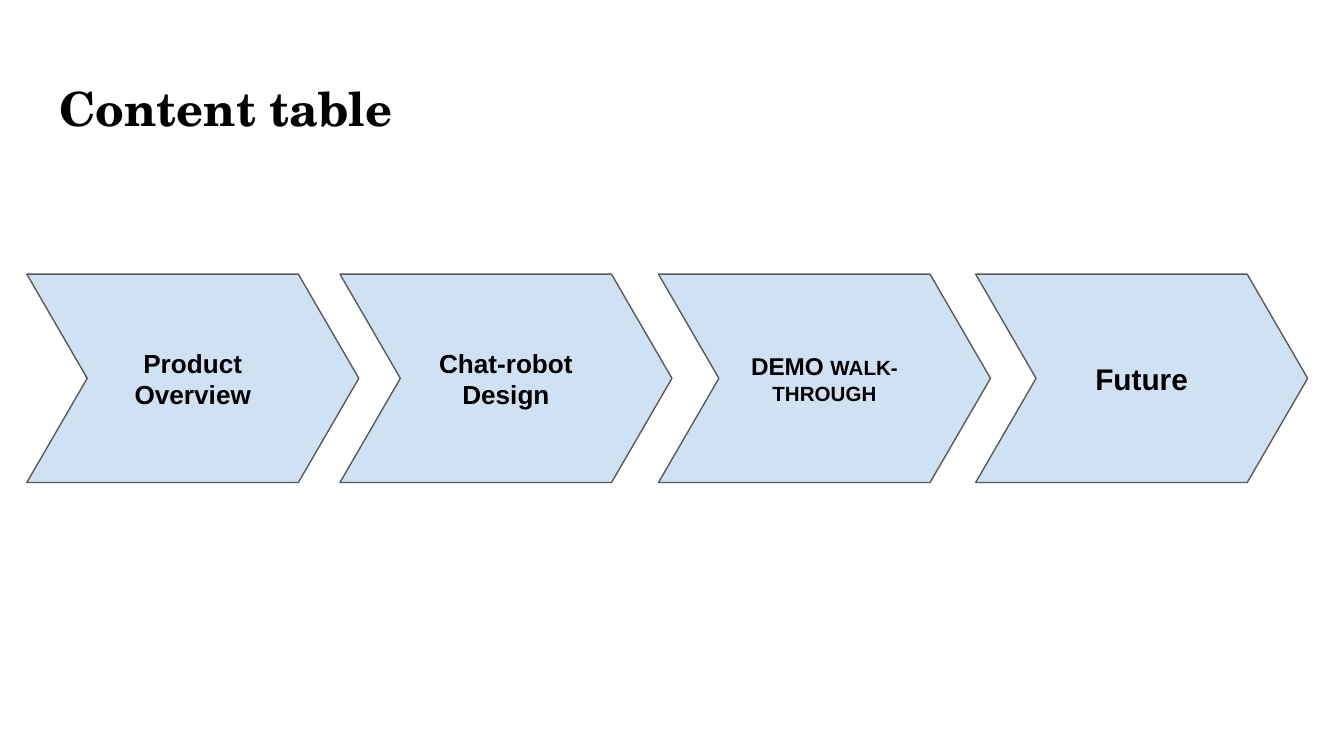
from pptx import Presentation
from pptx.dml.color import RGBColor
from pptx.enum.shapes import MSO_SHAPE
from pptx.enum.text import MSO_ANCHOR, MSO_AUTO_SIZE, PP_ALIGN
from pptx.util import Inches, Pt

# Content: each step has a left edge and its (text, size) runs
TITLE = "Content table"
STEPS = [
    (0.2, [("Product Overview", 14)]),
    (2.53, [("Chat-robot Design", 14)]),
    (4.9, [("DEMO ", 13), ("WALK-THROUGH", 11)]),
    (7.26, [("Future", 16)]),
]

# Style
BLACK = RGBColor(0x00, 0x00, 0x00)
PALE_BLUE = RGBColor(0xCF, 0xE2, 0xF3)
GREY = RGBColor(0x59, 0x59, 0x59)
SLIDE_WIDTH = 10
STEP_TOP, STEP_WIDTH, STEP_HEIGHT = 2.04, 2.47, 1.55
FRAME_FORMAT = {
    "margin_left": Inches(0.1),
    "margin_right": Inches(0.1),
    "margin_top": Inches(0.1),
    "margin_bottom": Inches(0.1),
    "word_wrap": True,
    "auto_size": MSO_AUTO_SIZE.NONE,
}


def write_text(shape, runs, font_name, alignment, anchor):
    frame = shape.text_frame
    for name, value in {**FRAME_FORMAT, "vertical_anchor": anchor}.items():
        setattr(frame, name, value)
    paragraph = frame.paragraphs[0]
    paragraph.alignment = alignment
    for text, size in runs:
        run = paragraph.add_run()
        run.text = text
        font_format = {"name": font_name, "size": Pt(size), "bold": True}
        for name, value in font_format.items():
            setattr(run.font, name, value)
        run.font.color.rgb = BLACK


def add_step(slide, left, runs):
    step = slide.shapes.add_shape(
        MSO_SHAPE.CHEVRON, Inches(left), Inches(STEP_TOP),
        Inches(STEP_WIDTH), Inches(STEP_HEIGHT))
    step.adjustments[0] = 0.29
    step.shadow.inherit = False
    step.fill.solid()
    step.fill.fore_color.rgb = PALE_BLUE
    step.line.color.rgb = GREY
    step.line.width = Pt(0.75)
    write_text(step, runs, "Arial", PP_ALIGN.CENTER, MSO_ANCHOR.MIDDLE)


def main():
    # Widescreen 16:9 slide
    presentation = Presentation()
    presentation.slide_width = Inches(SLIDE_WIDTH)
    presentation.slide_height = Inches(SLIDE_WIDTH * 9 / 16)
    slide = presentation.slides.add_slide(presentation.slide_layouts[5])

    # Title
    title = slide.shapes.title
    title_place = {"left": 0.34, "top": 0.49, "width": 9.32, "height": 0.63}
    for name, value in title_place.items():
        setattr(title, name, Inches(value))
    write_text(title, [(TITLE, 25.2)], "TeX Gyre Schola",
               PP_ALIGN.LEFT, MSO_ANCHOR.TOP)

    # Chevron steps
    for left, runs in STEPS:
        add_step(slide, left, runs)

    presentation.save("out.pptx")


if __name__ == "__main__":
    main()
